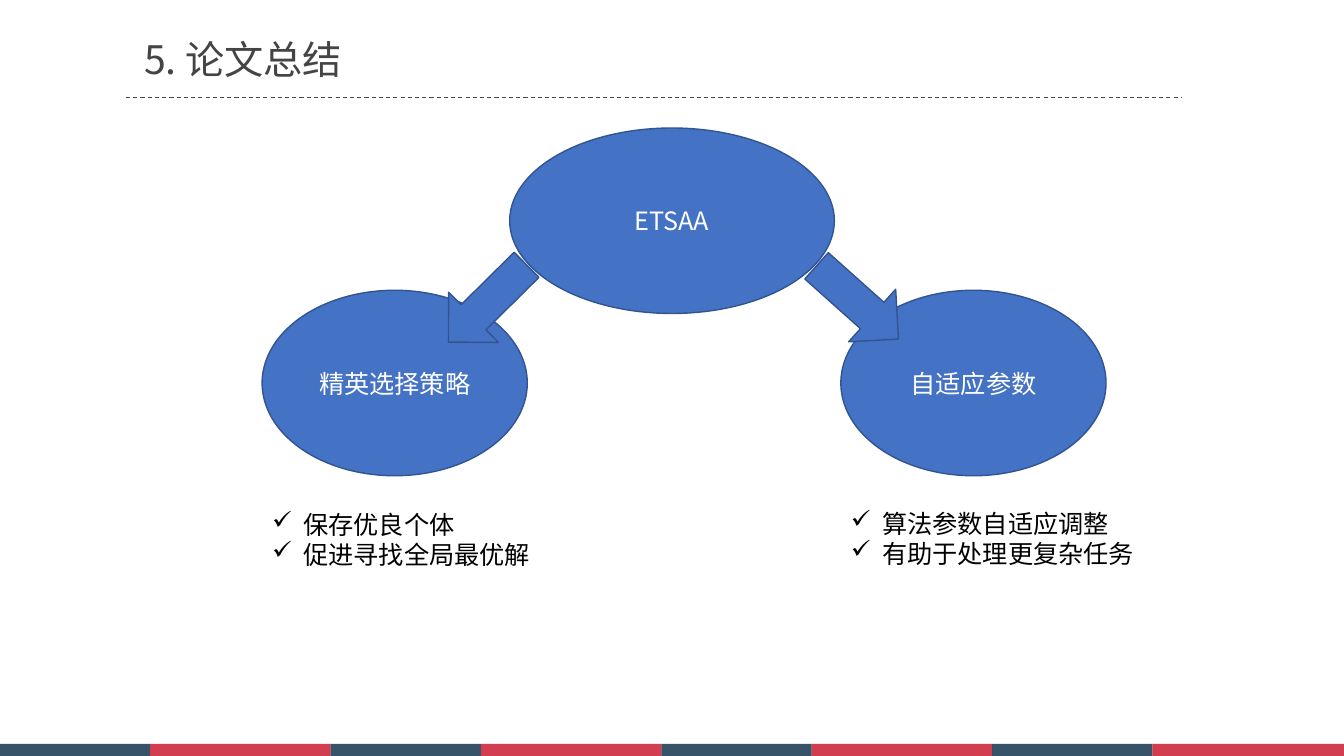
from dataclasses import dataclass
from itertools import accumulate

from lxml.etree import SubElement
from pptx import Presentation
from pptx.dml.color import RGBColor
from pptx.enum.dml import MSO_LINE_DASH_STYLE as Dash
from pptx.enum.shapes import MSO_CONNECTOR as Connector, MSO_SHAPE as Shape
from pptx.enum.text import MSO_ANCHOR as Anchor, PP_ALIGN as Align
from pptx.oxml.ns import qn
from pptx.util import Inches, Pt

TITLE = "5. 论文总结"
ROOT = "ETSAA"
# name, points, top of the points, arrow (left, top, turn)
BRANCHES = [
    ("精英选择策略", ["保存优良个体", "促进寻找全局最优解"], 5.0, (4.29, 2.66, 135.3)),
    ("自适应参数", ["算法参数自适应调整", "有助于处理更复杂任务"], 4.99, (7.96, 2.65, 41.8)),
]


@dataclass(frozen=True)
class Theme:
    font: str = "Noto Sans CJK SC"
    title_size: int = 28
    body_size: int = 18
    grey: str = "444444"
    black: str = "000000"
    white: str = "FFFFFF"
    blue: str = "4472C4"
    outline: str = "325491"
    navy: str = "062845"
    red: str = "C70E23"
    band_alpha: int = 80


THEME = Theme()
WIDTH, HEIGHT = 13.33, 7.5
BAND_HEIGHT = 0.12
BAND_WIDTHS = [1.49, 1.79] * 3 + [1.59, 1.9]
RULE_Y, RULE_LEFT, RULE_RIGHT = 0.97, 1.25, 11.72
OVAL_HEIGHT = 1.84
ROOT_WIDTH, ROOT_TOP = 3.22, 1.27
BRANCH_WIDTH, BRANCH_TOP = 2.63, 2.88
BRANCH_LEFT, BRANCH_STEP = 2.6, 5.74
ARROW_SIZE = (1.09, 0.7)
POINTS_SIZE = (3.14, 0.71)
INDENT = 0.31


def color(code):
    return RGBColor.from_string(code)


def add_span(para, text, size, code):
    span = para.add_run()
    span.text = text
    span.font.size = Pt(size)
    span.font.name = THEME.font
    span.font.color.rgb = color(code)
    SubElement(span.font._element, qn("a:ea"), typeface=THEME.font)


def add_solid(page, kind, place, fill, line=None):
    solid = page.shapes.add_shape(kind, *map(Inches, place))
    solid.shadow.inherit = False
    solid.fill.solid()
    solid.fill.fore_color.rgb = color(fill)
    if line:
        solid.line.color.rgb = color(line)
        solid.line.width = Pt(1)
    else:
        solid.line.fill.background()
    return solid


def add_oval(page, place, text):
    oval = add_solid(page, Shape.OVAL, place, THEME.blue, THEME.outline)
    oval.text_frame.vertical_anchor = Anchor.MIDDLE
    para = oval.text_frame.paragraphs[0]
    para.alignment = Align.CENTER
    add_span(para, text, THEME.body_size, THEME.white)


def add_band(page):
    """Draw the row of alternating, slightly transparent blocks at the foot."""
    lefts = accumulate(BAND_WIDTHS[:-1], initial=0)
    for index, (left, width) in enumerate(zip(lefts, BAND_WIDTHS)):
        place = (left, HEIGHT - BAND_HEIGHT, width, BAND_HEIGHT)
        block = add_solid(page, Shape.RECTANGLE, place, (THEME.navy, THEME.red)[index % 2])
        tint = block.fill._xPr.find(".//" + qn("a:srgbClr"))
        SubElement(tint, qn("a:alpha"), val=str(THEME.band_alpha * 1000))


def add_title(page):
    ends = map(Inches, (RULE_LEFT, RULE_Y, RULE_RIGHT, RULE_Y))
    rule = page.shapes.add_connector(Connector.STRAIGHT, *ends)
    rule.line.color.rgb = color(THEME.grey)
    rule.line.width = Pt(0.75)
    rule.line.dash_style = Dash.DASH
    SubElement(rule._element.spPr, qn("a:effectLst"))

    box = page.shapes.add_textbox(*map(Inches, (1.43, 0.35, 8.34, 0.47)))
    frame = box.text_frame
    frame.word_wrap = True
    frame.margin_left = frame.margin_right = frame.margin_top = frame.margin_bottom = 0
    add_span(frame.paragraphs[0], TITLE, THEME.title_size, THEME.grey)


def add_points(page, left, top, points):
    box = page.shapes.add_textbox(*map(Inches, (left, top, *POINTS_SIZE)))
    frame = box.text_frame
    frame.word_wrap = True
    for index, point in enumerate(points):
        para = frame.add_paragraph() if index else frame.paragraphs[0]
        layout = para._p.get_or_add_pPr()
        layout.set("marL", str(Inches(INDENT)))
        layout.set("indent", str(-Inches(INDENT)))
        SubElement(layout, qn("a:buChar"), char="✓")
        add_span(para, point, THEME.body_size, THEME.black)


def main():
    deck = Presentation()
    deck.slide_width, deck.slide_height = Inches(WIDTH), Inches(HEIGHT)
    page = deck.slides.add_slide(deck.slide_layouts[6])
    add_band(page)
    add_title(page)

    add_oval(page, ((WIDTH - ROOT_WIDTH) / 2, ROOT_TOP, ROOT_WIDTH, OVAL_HEIGHT), ROOT)
    for index, (name, points, points_top, (arrow_left, arrow_top, turn)) in enumerate(BRANCHES):
        left = BRANCH_LEFT + index * BRANCH_STEP
        add_oval(page, (left, BRANCH_TOP, BRANCH_WIDTH, OVAL_HEIGHT), name)
        place = (arrow_left, arrow_top, *ARROW_SIZE)
        arrow = add_solid(page, Shape.RIGHT_ARROW, place, THEME.blue, THEME.outline)
        arrow.rotation = turn
        add_points(page, left, points_top, points)
    deck.save("out.pptx")


if __name__ == "__main__":
    main()
